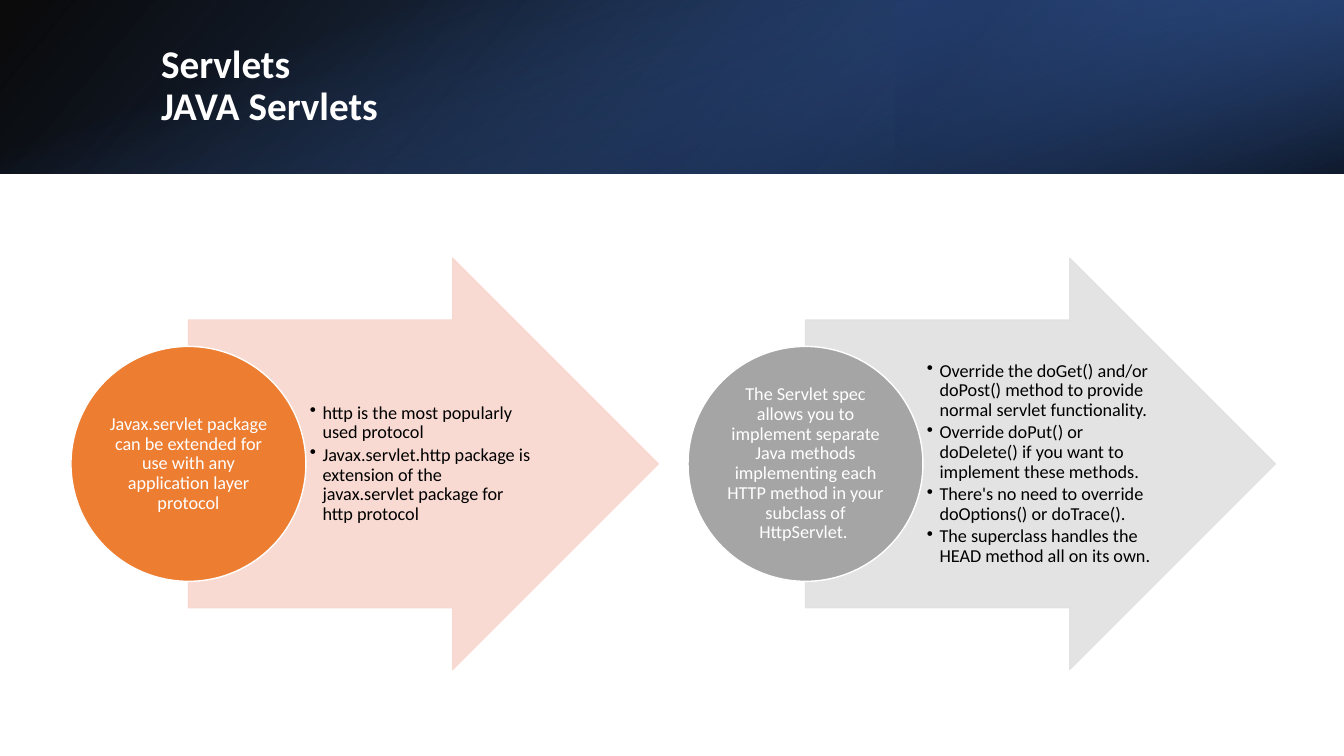
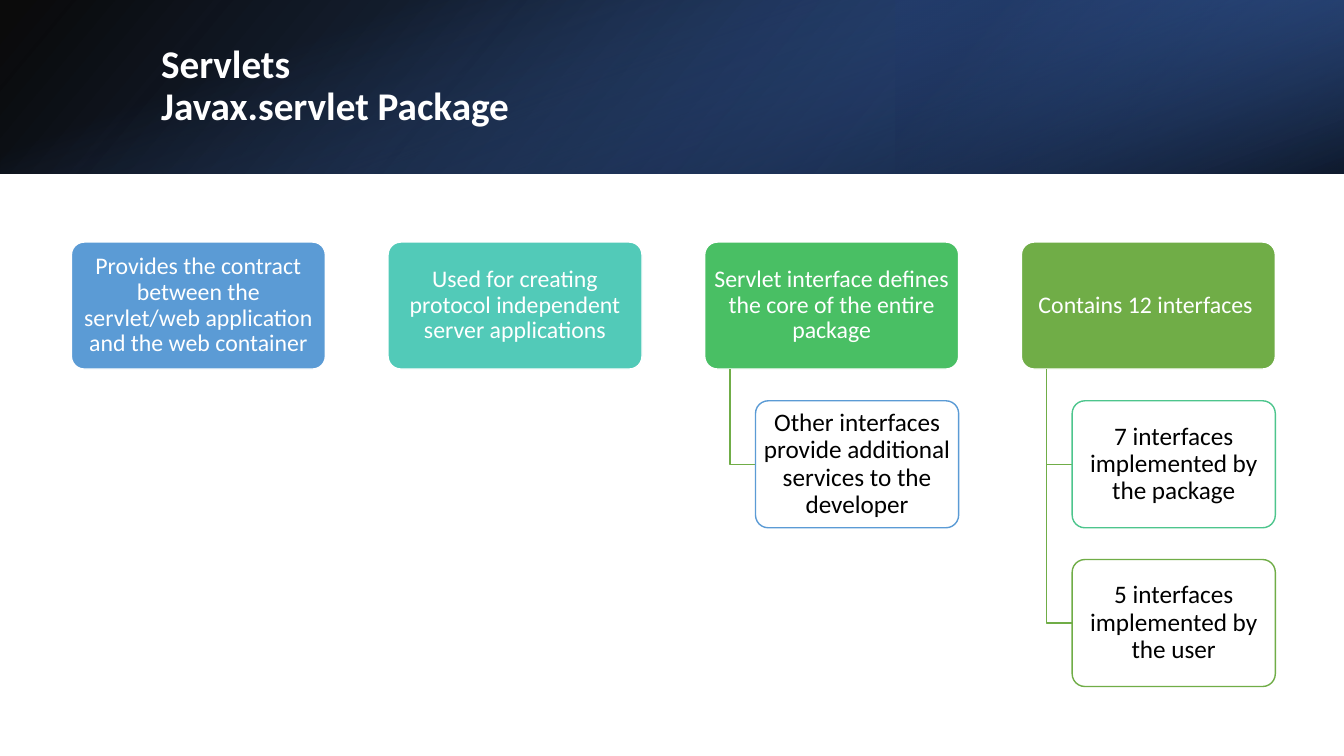
from dataclasses import dataclass

import lxml.etree
import pptx
import pptx.dml.color
import pptx.enum.shapes
import pptx.enum.text
import pptx.oxml.ns
import pptx.util

Cm, Pt = pptx.util.Cm, pptx.util.Pt
Kind = pptx.enum.shapes.MSO_SHAPE
Align = pptx.enum.text.PP_ALIGN
qn = pptx.oxml.ns.qn

# Shared look
WIDE, HIGH, BAND = 33.87, 19.05, 4.38
FONT = "Calibri"
WHITE, BLACK, GREEN = "FFFFFF", "000000", "70AD47"


@dataclass
class Box:
    left: float
    top: float
    width: float
    height: float

    def emu(self) -> tuple:
        return Cm(self.left), Cm(self.top), Cm(self.width), Cm(self.height)


@dataclass
class Layer:
    box: Box
    stops: list  # position, colour and opacity, in percent where numeric
    angle: int
    turn: int = 0
    flip: bool = True


@dataclass
class Arrow:
    dark: str
    pale: str
    label: str
    points: list


@dataclass
class Child:
    text: str
    edge: str


@dataclass
class Topic:
    text: str
    color: str
    kids: list


LAYERS = [
    Layer(Box(0, 0, WIDE, BAND), [(0, BLACK, 96), (100, "2F5597", 100)], 140),
    Layer(Box(WIDE * 2 / 3, 0, WIDE / 3, BAND),
          [(19, "203864", 68), (100, "4472C4", 79)], 320, 180),
    Layer(Box((WIDE - BAND) / 2, (BAND - WIDE) / 2, BAND, WIDE),
          [(23, "4472C4", 0), (99, BLACK, 74)], 340, 90, False),
]

ARROWS = [
    Arrow("ED7D31", "F8D7CE",
          "Javax.servlet package can be extended for use with any "
          "application layer protocol",
          ["http is the most popularly used protocol",
           "Javax.servlet.http package is extension of the javax.servlet "
           "package for http protocol"]),
    Arrow("A5A5A5", "E1E1E1",
          "The Servlet spec allows you to implement separate Java methods "
          "implementing each HTTP method in your subclass of HttpServlet. ",
          ["Override the doGet() and/or doPost() method to provide normal "
           "servlet functionality.",
           "Override doPut() or doDelete() if you want to implement these "
           "methods.",
           "There's no need to override doOptions() or doTrace().",
           "The superclass handles the HEAD method all on its own."]),
]

TOPICS = [
    Topic("Provides the contract between the servlet/web application and "
          "the web container", "5B9BD5", []),
    Topic("Used for creating protocol independent server applications",
          "52CAB8", []),
    Topic("Servlet interface defines the core of the entire package",
          "49BF64",
          [Child("Other interfaces provide additional services to the "
                 "developer", "5B9BD5")]),
    Topic("Contains 12 interfaces ", GREEN,
          [Child("7 interfaces implemented by the package", "4DC58D"),
           Child("5 interfaces implemented by the user", GREEN)]),
]


# Drawing helpers
def rgb(code: str) -> pptx.dml.color.RGBColor:
    return pptx.dml.color.RGBColor.from_string(code)


def paint(fill, color: str, alpha: int = 100) -> None:
    fill.solid()
    fill.fore_color.rgb = rgb(color)
    if alpha < 100:
        node = fill._xPr.find(qn("a:solidFill"))[0]
        lxml.etree.SubElement(node, qn("a:alpha"), val=str(alpha * 1000))


def shape(slide, kind, box: Box, color: str, edge: str, alpha: int = 100):
    item = slide.shapes.add_shape(kind, *box.emu())
    item.shadow.inherit = False
    paint(item.fill, color, alpha)
    paint(item.line.fill, edge, alpha)
    item.line.width = Pt(1)
    return item


def blend(slide, layer: Layer) -> None:
    item = shape(slide, Kind.RECTANGLE, layer.box, WHITE, WHITE)
    item.line.fill.background()
    item.rotation = layer.turn
    props = item._element.spPr
    if layer.flip:
        props.find(qn("a:xfrm")).set("flipH", "1")
    item.fill.gradient()
    grad = props.find(qn("a:gradFill"))
    for node in list(grad):
        grad.remove(node)
    grad.set("rotWithShape", "1")
    sub = lxml.etree.SubElement
    stops = sub(grad, qn("a:gsLst"))
    for place, color, alpha in layer.stops:
        stop = sub(stops, qn("a:gs"), pos=str(place * 1000))
        tint = sub(stop, qn("a:srgbClr"), val=color)
        sub(tint, qn("a:alpha"), val=str(alpha * 1000))
    sub(grad, qn("a:lin"), ang=str(layer.angle * 60000), scaled="0")


def setup(item, inset: tuple):
    frame = item.text_frame
    frame.word_wrap = True
    frame.vertical_anchor = pptx.enum.text.MSO_ANCHOR.MIDDLE
    (frame.margin_left, frame.margin_top,
     frame.margin_right, frame.margin_bottom) = [Cm(side) for side in inset]
    return frame


def write(para, text: str, size: int, color: str, align=Align.LEFT,
          bold: bool = False) -> None:
    para.alignment = align
    para.line_spacing = 0.9
    for i, line in enumerate(text.split("\n")):
        if i:
            para.add_line_break()
        run = para.add_run()
        run.text = line
        run.font.name = FONT
        run.font.size = Pt(size)
        run.font.bold = bold
        run.font.color.rgb = rgb(color)


def label(item, text: str, size: int, color: str, inset: tuple) -> None:
    write(setup(item, inset).paragraphs[0], text, size, color, Align.CENTER)


def bullets(slide, box: Box, points: list) -> None:
    frame = setup(slide.shapes.add_textbox(*box.emu()),
                  (0.1, 0.03, 0.05, 0.03))
    for i, text in enumerate(points):
        para = frame.add_paragraph() if i else frame.paragraphs[0]
        props = para._p.get_or_add_pPr()
        props.set("marL", str(Cm(0.32)))
        props.set("indent", str(Cm(-0.32)))
        lxml.etree.SubElement(props, qn("a:buChar"), char="•")
        para.space_after = Pt(2)
        write(para, text, 13, BLACK)


def start(deck, title: str):
    slide = deck.slides.add_slide(deck.slide_layouts[6])
    for layer in LAYERS:
        blend(slide, layer)
    area = slide.shapes.add_textbox(*Box(3.81, 0.97, 27.9, 2.44).emu())
    frame = setup(area, (0.25, 0.13, 0.25, 0.13))
    write(frame.paragraphs[0], title, 28, WHITE, bold=True)
    return slide


def elbow(slide, x: float, top: float, end: float, low: float) -> None:
    pen = slide.shapes.build_freeform(Cm(x), Cm(top))
    pen.add_line_segments([(Cm(x), Cm(low)), (Cm(end), Cm(low))], close=False)
    item = pen.convert_to_shape()
    item.shadow.inherit = False
    item.fill.background()
    paint(item.line.fill, GREEN)
    item.line.width = Pt(1)


# Slide bodies
def flow(slide) -> None:
    left, mid, step, disc = 1.79, 11.69, 15.55, 5.92
    long, tall, body = 11.84, 10.36, 7.24
    for i, arrow in enumerate(ARROWS):
        x = left + i * step
        box = Box(x + disc / 2, mid - tall / 2, long, tall)
        item = shape(slide, Kind.RIGHT_ARROW, box, arrow.pale, arrow.pale, 90)
        item.adjustments[0] = 0.7
        bullets(slide, Box(x + disc, mid - body / 2, 5.77, body),
                arrow.points)
        item = shape(slide, Kind.OVAL, Box(x, mid - disc / 2, disc, disc),
                     arrow.dark, WHITE)
        label(item, arrow.label, 13, WHITE, (0.03,) * 4)


def card(slide, box: Box, color: str, edge: str, text: str, size: int,
         ink: str) -> None:
    item = shape(slide, Kind.ROUNDED_RECTANGLE, box, color, edge)
    item.adjustments[0] = 0.1
    label(item, text, size, ink, (0.1, 0.06, 0.1, 0.06))


def tree(slide) -> None:
    left, top, step, wide, tall = 1.8, 6.1, 7.98, 6.4, 3.2
    drop = tall * 1.25
    for i, topic in enumerate(TOPICS):
        x = left + i * step
        card(slide, Box(x, top, wide, tall), topic.color, WHITE,
             topic.text, 17, WHITE)
        inner = x + wide / 5
        for j, kid in enumerate(topic.kids, 1):
            y = top + j * drop
            elbow(slide, x + wide / 10, top + tall, inner, y + tall / 2)
            card(slide, Box(inner, y, wide * 0.8, tall), WHITE, kid.edge,
                 kid.text, 18, BLACK)


def main() -> None:
    deck = pptx.Presentation()
    deck.slide_width, deck.slide_height = Cm(WIDE), Cm(HIGH)
    flow(start(deck, "Servlets\nJAVA Servlets"))
    tree(start(deck, "Servlets\nJavax.servlet Package"))
    deck.save("out.pptx")


if __name__ == "__main__":
    main()
